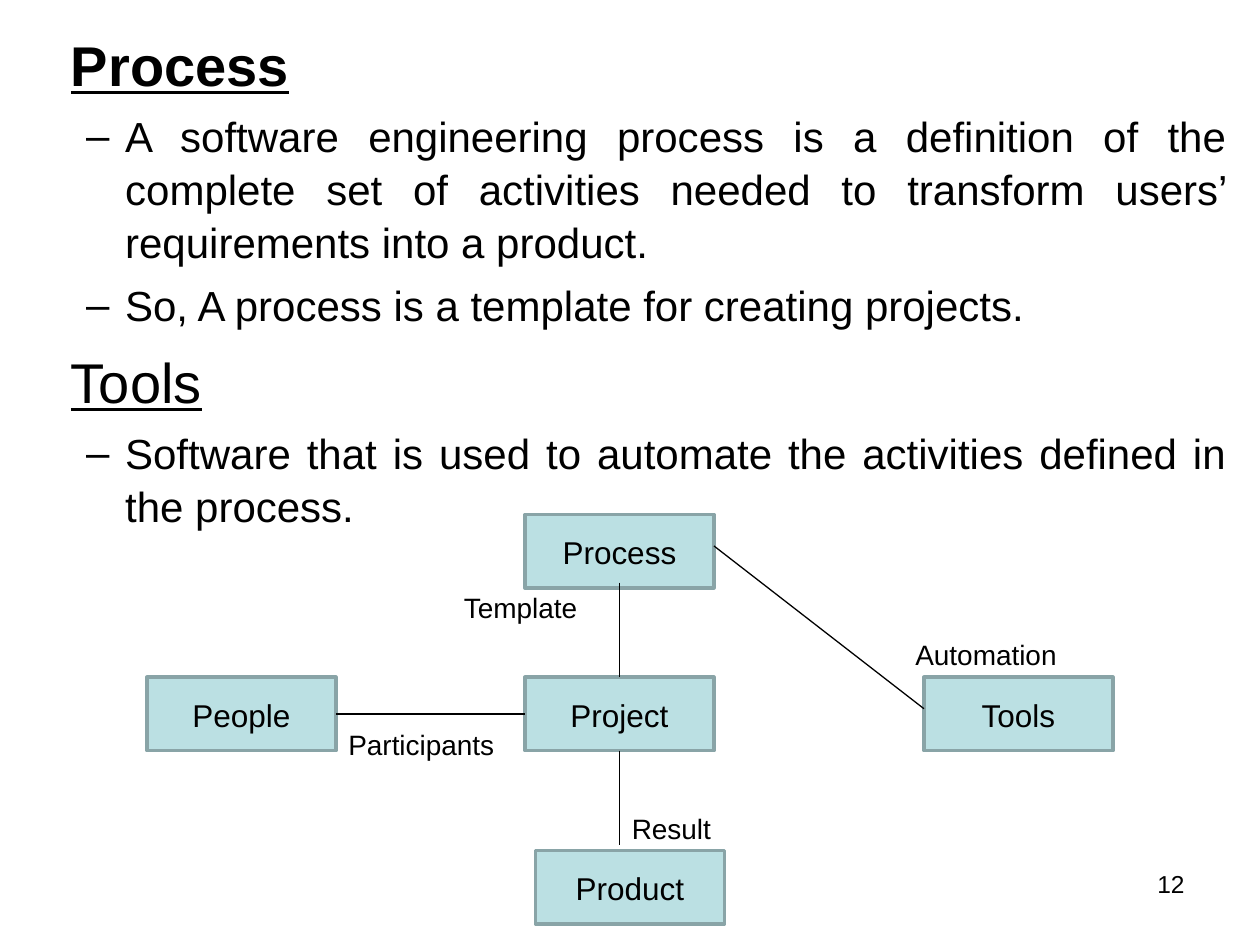
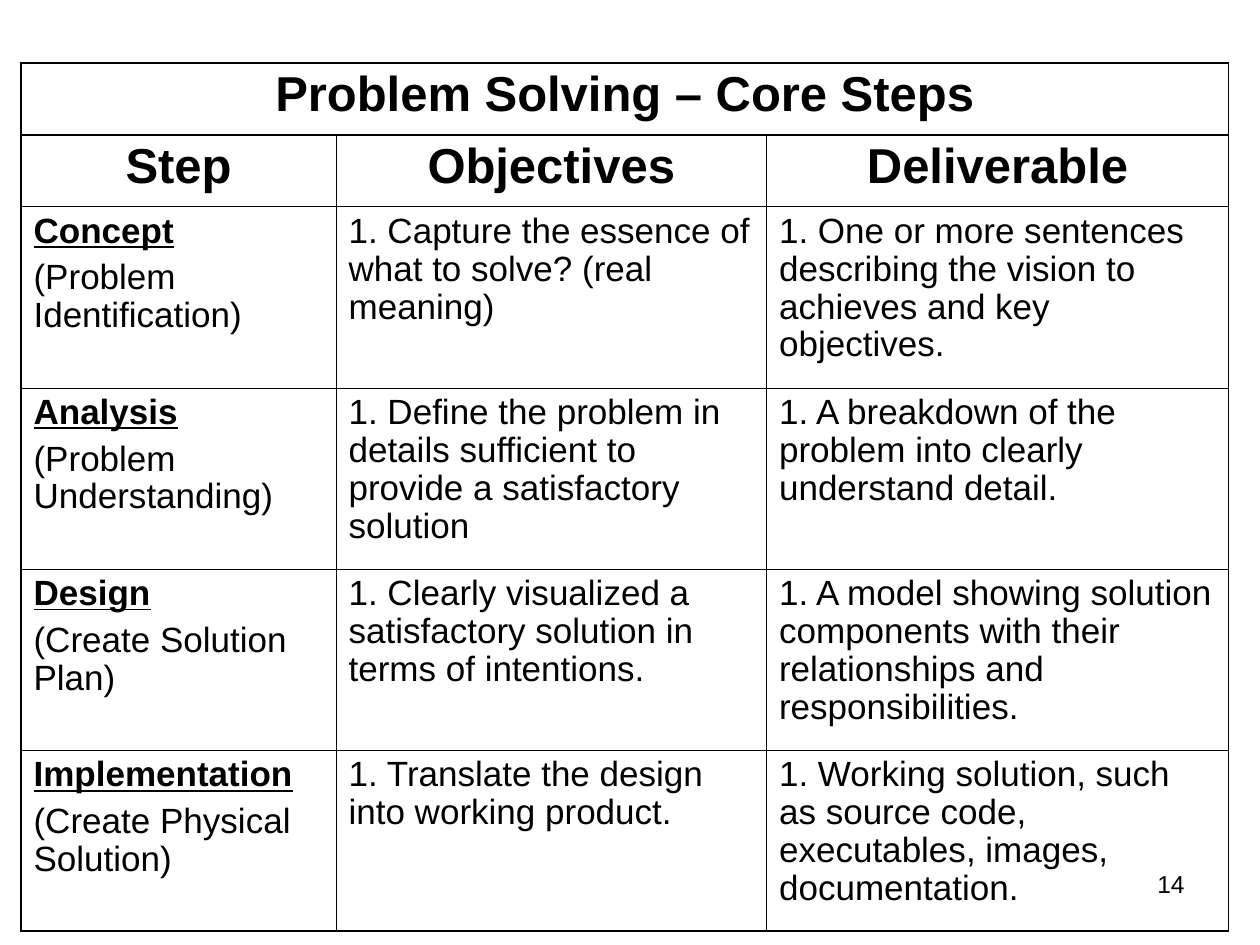
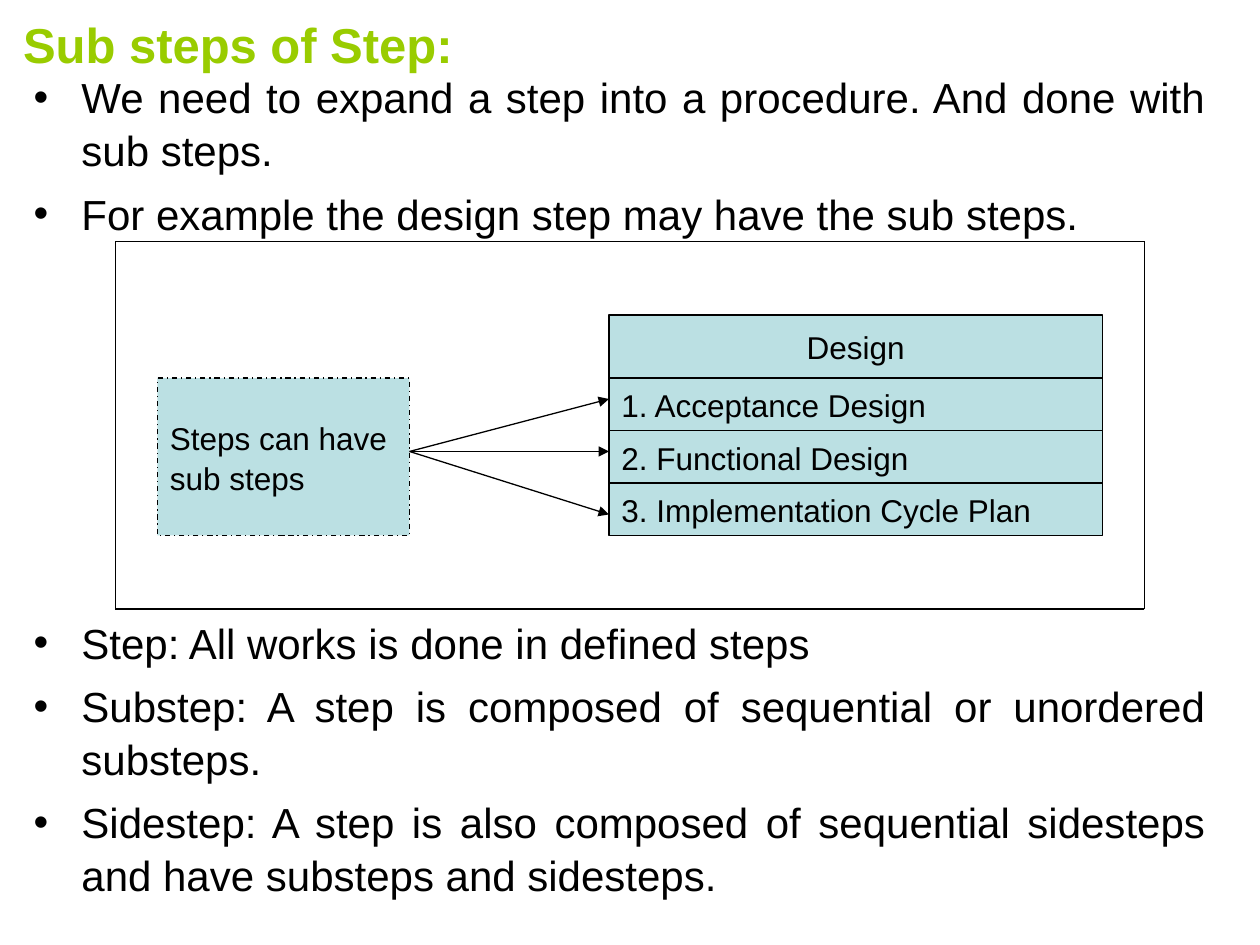
from dataclasses import dataclass

from lxml import etree
from pptx import Presentation
from pptx.dml.color import RGBColor
from pptx.enum.dml import MSO_LINE
from pptx.enum.shapes import MSO_CONNECTOR, MSO_SHAPE
from pptx.enum.text import MSO_ANCHOR, MSO_AUTO_SIZE, PP_ALIGN
from pptx.oxml.ns import qn
from pptx.util import Inches, Pt

LEFT, CENTER, RIGHT, JUSTIFY = (PP_ALIGN.LEFT, PP_ALIGN.CENTER,
                                PP_ALIGN.RIGHT, PP_ALIGN.JUSTIFY)
TOP, MIDDLE = MSO_ANCHOR.TOP, MSO_ANCHOR.MIDDLE
DASH_DOT = MSO_LINE.DASH_DOT
LAYOUT_CONTENT, LAYOUT_BLANK = 1, 6


@dataclass(frozen=True)
class Theme:
    font: str = "Arial"
    ink: str = "000000"
    accent: str = "99CC00"
    box_fill: str = "BBE0E3"
    box_edge: str = "89A4A7"
    title: int = 28
    heading: int = 32
    body: int = 24
    cell: int = 20
    box: int = 18
    label: int = 16
    number: int = 14
    hairline: float = 0.75
    box_line: float = 2
    table_inner: float = 0.45
    table_outer: float = 1.08
    text_leading: float = 1.05
    table_leading: float = 0.97


T = Theme()


def grid(n):
    """Length of n grid units; a slide is 120 columns by 90 rows."""
    return Inches(n / 12)


def place(shape, x, y, w, h):
    shape.left, shape.top, shape.width, shape.height = map(grid, (x, y, w, h))


def rgb(color):
    return RGBColor.from_string(color)


def add_run(p, text, size, color=T.ink, bold=False, underline=False):
    r = p.add_run()
    r.text = text
    f = r.font
    f.name, f.size, f.bold, f.underline = T.font, Pt(size), bold, underline
    f.color.rgb = rgb(color)


def next_paragraph(tf):
    """The frame's first paragraph while it is empty, else a new one."""
    p = tf.paragraphs[0]
    return tf.add_paragraph() if p.runs else p


def format_paragraph(p, align, before=0, leading=T.text_leading):
    p.alignment, p.space_before, p.line_spacing = align, Pt(before), leading


def body_paragraph(tf, text, size=T.body, level=0, bullet=None, margin=0.38,
                   hang=0, before=6, **style):
    p = next_paragraph(tf)
    p.level = level
    format_paragraph(p, JUSTIFY, before)
    pPr = p._p.get_or_add_pPr()
    pPr.set("marL", str(Inches(margin)))
    pPr.set("indent", str(-Inches(hang)))
    if bullet:
        etree.SubElement(pPr, qn("a:buChar")).set("char", bullet)
    else:
        etree.SubElement(pPr, qn("a:buNone"))
    add_run(p, text, size, **style)


def body_frame(s, *box):
    body = s.placeholders[1]
    place(body, *box)
    tf = body.text_frame
    tf.auto_size, tf.vertical_anchor = MSO_AUTO_SIZE.NONE, TOP
    return tf


def heading(tf, text, bold=False):
    body_paragraph(tf, text, T.heading, before=8, bold=bold, underline=True)


def dash_item(tf, text):
    body_paragraph(tf, text, level=1, bullet="–", margin=0.81, hang=0.31)


def bullet_item(tf, text, before=6):
    body_paragraph(tf, text, bullet="•", hang=0.38, before=before)


def add_label(s, text, x, y, w, h=4.4, size=T.label, align=LEFT):
    tf = s.shapes.add_textbox(*map(grid, (x, y, w, h))).text_frame
    tf.word_wrap = True
    p = next_paragraph(tf)
    format_paragraph(p, align)
    add_run(p, text, size)


def add_page_number(s, number):
    add_label(s, number, 86, 82, 28, 6.25, T.number, RIGHT)


def add_box(s, lines, x, y, w, h, edge=T.ink, width=T.hairline, dash=None,
            align=LEFT):
    sp = s.shapes.add_shape(MSO_SHAPE.RECTANGLE, *map(grid, (x, y, w, h)))
    sp.shadow.inherit = False
    sp.fill.solid()
    sp.fill.fore_color.rgb = rgb(T.box_fill)
    sp.line.color.rgb, sp.line.width = rgb(edge), Pt(width)
    if dash:
        sp.line.dash_style = dash
    tf = sp.text_frame
    tf.word_wrap, tf.vertical_anchor = True, MIDDLE
    for line in lines:
        p = next_paragraph(tf)
        format_paragraph(p, align)
        add_run(p, line, T.box)


def add_line(s, start, end, arrow=False):
    c = s.shapes.add_connector(MSO_CONNECTOR.STRAIGHT,
                               *map(grid, (*start, *end)))
    c.line.color.rgb, c.line.width = rgb(T.ink), Pt(T.hairline)
    if arrow:
        etree.SubElement(c.line._ln, qn("a:tailEnd")).set("type", "triangle")
    etree.SubElement(c._element.spPr, qn("a:effectLst"))


def set_borders(cell, widths):
    """Draw the left, right, top and bottom edges, in that order."""
    tcPr = cell._tc.get_or_add_tcPr()
    for i, (side, width) in enumerate(zip("LRTB", widths)):
        ln = etree.Element(qn(f"a:ln{side}"), w=str(Pt(width)))
        fill = etree.SubElement(ln, qn("a:solidFill"))
        etree.SubElement(fill, qn("a:srgbClr")).set("val", T.ink)
        tcPr.insert(i, ln)


def fill_cell(cell, lines, is_header, is_step):
    tf = cell.text_frame
    for i, line in enumerate(lines):
        p = next_paragraph(tf)
        format_paragraph(p, CENTER if is_header else LEFT,
                         7 if is_header else 5, T.table_leading)
        name = is_step and i == 0
        add_run(p, line, T.title if is_header else T.cell,
                bold=is_header or name, underline=name and not is_header)


def add_grid_table(s, x, y, columns, heights, rows):
    """Table with a header row, step names in column one, a heavy outline."""
    tbl = s.shapes.add_table(len(rows), len(columns), *map(
        grid, (x, y, sum(columns), sum(heights)))).table
    tbl.first_row = tbl.horz_banding = False
    for column, w in zip(tbl.columns, columns):
        column.width = grid(w)
    for row, h in zip(tbl.rows, heights):
        row.height = grid(h)
    for i, row in enumerate(rows):
        for j, lines in enumerate(row):
            cell = tbl.cell(i, j)
            cell.fill.background()
            fill_cell(cell, lines, i == 0, j == 0)
            outer = (j == 0, j == len(columns) - 1, i == 0, i == len(rows) - 1)
            set_borders(cell, [T.table_outer if o else T.table_inner
                               for o in outer])


def process_slide(prs):
    s = prs.slides.add_slide(prs.slide_layouts[LAYOUT_CONTENT])
    title = s.shapes.title._element
    title.getparent().remove(title)
    tf = body_frame(s, 1, 2, 117, 47)
    heading(tf, "Process", bold=True)
    dash_item(tf, "A software engineering process is a definition of the "
                  "complete set of activities needed to transform users’ "
                  "requirements into a product.")
    dash_item(tf, "So, A process is a template for creating projects.")
    heading(tf, "Tools")
    dash_item(tf, "Software that is used to automate the activities defined "
                  "in the process.")
    add_page_number(s, "12")

    for name, x, y in (("Process", 50, 49), ("Product", 51, 81),
                       ("People", 14, 64.5), ("Project", 50, 64.5),
                       ("Tools", 88, 64.5)):
        add_box(s, [name], x, y, 18, 7, T.box_edge, T.box_line, align=CENTER)
    for start, end in (((32, 68), (50, 68)), ((68, 52), (88, 67.5)),
                       ((59, 55.5), (59, 64.5)), ((59, 71.5), (59, 80.5))):
        add_line(s, start, end)
    for text, x, y, w in (("Participants", 32, 68.5, 17),
                          ("Template", 43, 55.5, 15),
                          ("Result", 59, 76.5, 17),
                          ("Automation", 86, 60, 21)):
        add_label(s, text, x, y, w)


def core_steps_slide(prs):
    s = prs.slides.add_slide(prs.slide_layouts[LAYOUT_BLANK])
    add_page_number(s, "14")
    rows = [
        [["Step"], ["Objectives"], ["Deliverable"]],
        [["Concept", "(Problem Identification)"],
         ["1. Capture the essence of what to solve? (real meaning)"],
         ["1. One or more sentences describing the vision to achieves and "
          "key objectives."]],
        [["Analysis", "(Problem Understanding)"],
         ["1. Define the problem in details sufficient to provide a "
          "satisfactory solution"],
         ["1. A breakdown of the problem into clearly understand detail."]],
        [["Design", "(Create Solution Plan)"],
         ["1. Clearly visualized a satisfactory solution in terms of "
          "intentions."],
         ["1. A model showing solution components with their relationships "
          "and responsibilities."]],
        [["Implementation", "(Create Physical Solution)"],
         ["1. Translate the design into working product."],
         ["1. Working solution, such as source code, executables, images, "
          "documentation."]],
    ]
    header, step = 6.85, 17.25
    add_grid_table(s, 2, 6 + header, [30, 41, 44], [header] + [step] * 4, rows)
    add_grid_table(s, 2, 6, [115], [header],
                   [[["Problem Solving – Core Steps"]]])


def sub_steps_slide(prs):
    s = prs.slides.add_slide(prs.slide_layouts[LAYOUT_CONTENT])
    title = s.shapes.title
    place(title, 1, 2, 108, 4)
    tf = title.text_frame
    tf.auto_size, tf.vertical_anchor = MSO_AUTO_SIZE.NONE, MIDDLE
    p = next_paragraph(tf)
    format_paragraph(p, LEFT)
    add_run(p, "Sub steps of Step:", T.title, T.accent, bold=True)

    diagram_gap = 215
    tf = body_frame(s, 2, 6, 114, 81)
    bullet_item(tf, "We need to expand a step into a procedure. And done "
                    "with sub steps.")
    bullet_item(tf, "For example the design step may have the sub steps.")
    bullet_item(tf, "Step: All works is done in defined steps", diagram_gap)
    bullet_item(tf, "Substep: A step is composed of sequential or unordered "
                    "substeps.")
    bullet_item(tf, "Sidestep: A step is also composed of sequential "
                    "sidesteps and have substeps and sidesteps.")

    add_box(s, ["Steps can have", "sub steps"], 15, 36, 24, 15, dash=DASH_DOT)
    add_box(s, ["Design"], 58, 30, 47, 6, align=CENTER)
    for i, name in enumerate(("1. Acceptance Design", "2. Functional Design",
                              "3. Implementation Cycle Plan")):
        add_box(s, [name], 58, 36 + 5 * i, 47, 5)
    for y in (38, 43, 49):
        add_line(s, (39, 43), (58, y), arrow=True)
    corners = [(11, 23), (109, 23), (109, 58), (11, 58)]
    for start, end in zip(corners, corners[1:] + corners[:1]):
        add_line(s, start, end)


def main():
    prs = Presentation()
    prs.slide_width, prs.slide_height = grid(120), grid(90)
    process_slide(prs)
    core_steps_slide(prs)
    sub_steps_slide(prs)
    prs.save("out.pptx")


if __name__ == "__main__":
    main()
